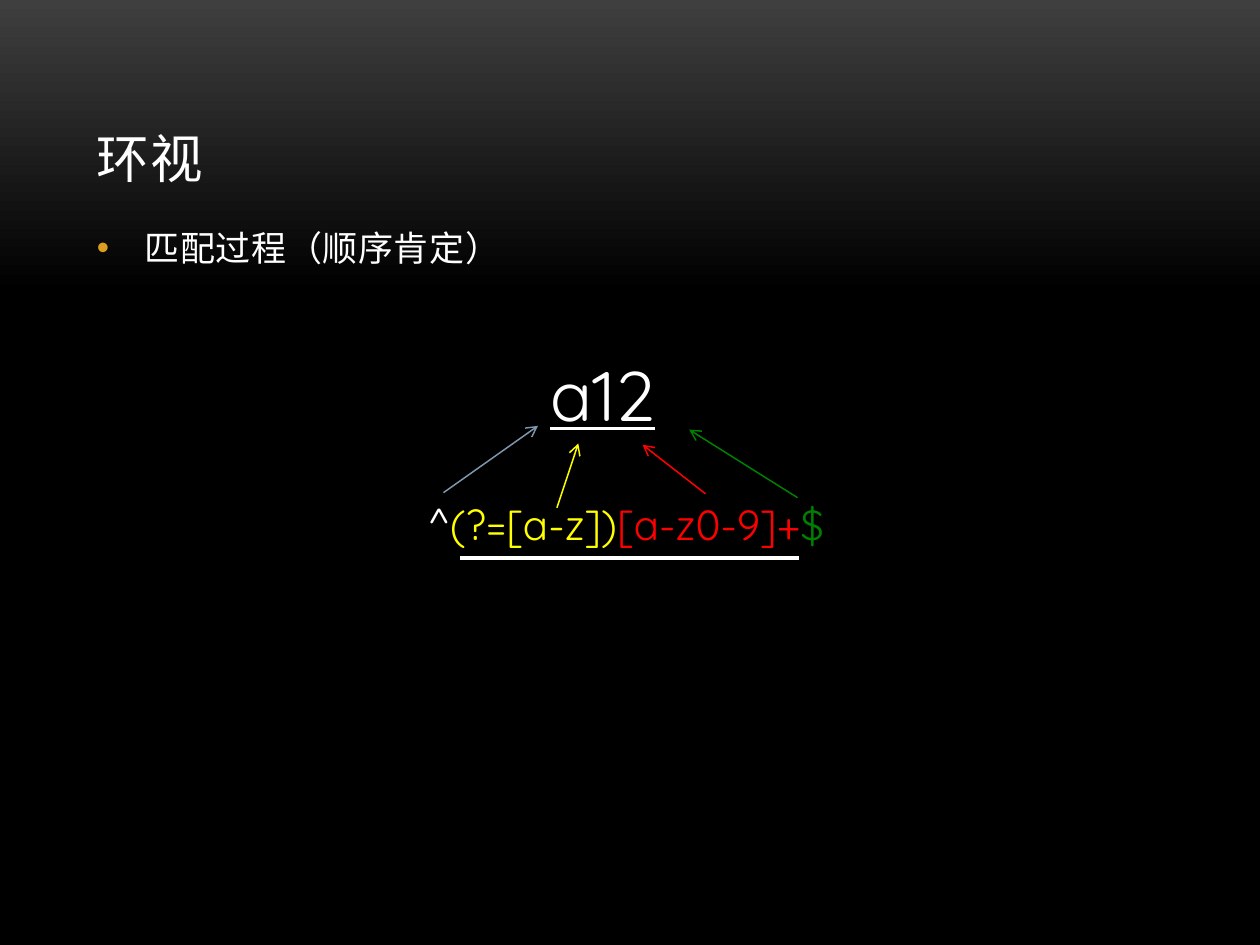
from lxml import etree
from pptx import Presentation
from pptx.dml.color import RGBColor
from pptx.enum.shapes import MSO_CONNECTOR
from pptx.enum.text import MSO_ANCHOR
from pptx.oxml.ns import qn
from pptx.util import Inches, Pt

LINE = MSO_CONNECTOR.STRAIGHT
TOP, LOW = MSO_ANCHOR.TOP, MSO_ANCHOR.BOTTOM
COLS, ROWS = 100, 75

THEME = {
    "white": "FFFFFF", "yellow": "FFFF00", "red": "FF0000",
    "green": "008000", "steel": "7E97AD", "gold": "DC9E1F",
    "fade": [(0, "3F3F3F"), (0.31, "000000")],
    "head": {"name": "Arial Narrow", "size": Pt(30)},
    "body": {"name": "Arial Narrow", "size": Pt(20)},
    "word": {"name": "Quicksand", "size": Pt(40), "underline": True},
    "regex": {"name": "Quicksand", "size": Pt(24)},
    "thin": Pt(0.85), "thick": Pt(2.25),
}

TEXTS = [
    {"box": (6.7, 3, 86.7, 12.5), "font": "head", "anchor": LOW, "track": 50,
     "runs": [("环视", "white")]},
    {"box": (6.7, 17.5, 86.7, 45), "font": "body", "track": 30,
     "runs": [("匹配过程（顺序肯定）", "white")],
     "para": {"space_before": Pt(4), "space_after": Pt(6)}, "mark": "•"},
    {"box": (42.7, 27.4, 13.3, 7.7), "font": "word",
     "runs": [("a12", "white")]},
    {"box": (33, 39.1, 34.9, 5), "font": "regex",
     "runs": [("^", "white"), ("(?=[a-z])", "yellow"),
              ("[a-z0-9]+", "red"), ("$", "green")]},
]

RULE = (36.5, 44.3, 63.4, 44.3)
ARROWS = [
    ("steel", (35.2, 39.1, 42.7, 33.8)),
    ("yellow", (44.2, 40.3, 45.9, 35.2)),
    ("red", (56, 39.2, 51, 35.3)),
    ("green", (63.3, 39.5, 54.7, 34.1)),
]

deck = Presentation()
deck.slide_width, deck.slide_height = Inches(10), Inches(7.5)
slide = deck.slides.add_slide(deck.slide_layouts[6])


def grid(box):
    units = (deck.slide_width / COLS, deck.slide_height / ROWS) * 2
    return [round(n * unit) for n, unit in zip(box, units)]


def apply(item, values):
    for key, value in values.items():
        setattr(item, key, value)


def tint(name):
    return RGBColor.from_string(THEME[name])


def add_mark(para, mark):
    props = para._p.get_or_add_pPr()
    props.set("marL", str(Inches(0.38)))
    props.set("indent", str(-Inches(0.38)))
    hue = etree.SubElement(props, qn("a:buClr"))
    etree.SubElement(hue, qn("a:srgbClr"), val=THEME["gold"])
    etree.SubElement(props, qn("a:buFont"), typeface="Arial")
    etree.SubElement(props, qn("a:buChar"), char=mark)


def add_text(item):
    frame = slide.shapes.add_textbox(*grid(item["box"])).text_frame
    apply(frame, {"word_wrap": True,
                  "vertical_anchor": item.get("anchor", TOP)})
    para = frame.paragraphs[0]
    apply(para, item.get("para", {}))
    if "mark" in item:
        add_mark(para, item["mark"])
    for text, hue in item["runs"]:
        run = para.add_run()
        run.text = text
        apply(run.font, THEME[item["font"]])
        run.font.color.rgb = tint(hue)
        if "track" in item:
            run._r.get_or_add_rPr().set("spc", str(item["track"]))


def add_line(ends, hue, width, tip=False):
    link = slide.shapes.add_connector(LINE, *grid(ends))
    apply(link.line, {"width": THEME[width]})
    link.line.color.rgb = tint(hue)
    if tip:
        etree.SubElement(link.line._get_or_add_ln(), qn("a:tailEnd"),
                         type="arrow")
    etree.SubElement(link._element.spPr, qn("a:effectLst"))


fill = slide.background.fill
fill.gradient()
fill.gradient_angle = 270
for stop, (place, hue) in zip(fill.gradient_stops, THEME["fade"]):
    stop.position = place
    stop.color.rgb = RGBColor.from_string(hue)

for item in TEXTS:
    add_text(item)
add_line(RULE, "white", "thick")
for hue, ends in ARROWS:
    add_line(ends, hue, "thin", tip=True)

deck.save("out.pptx")
